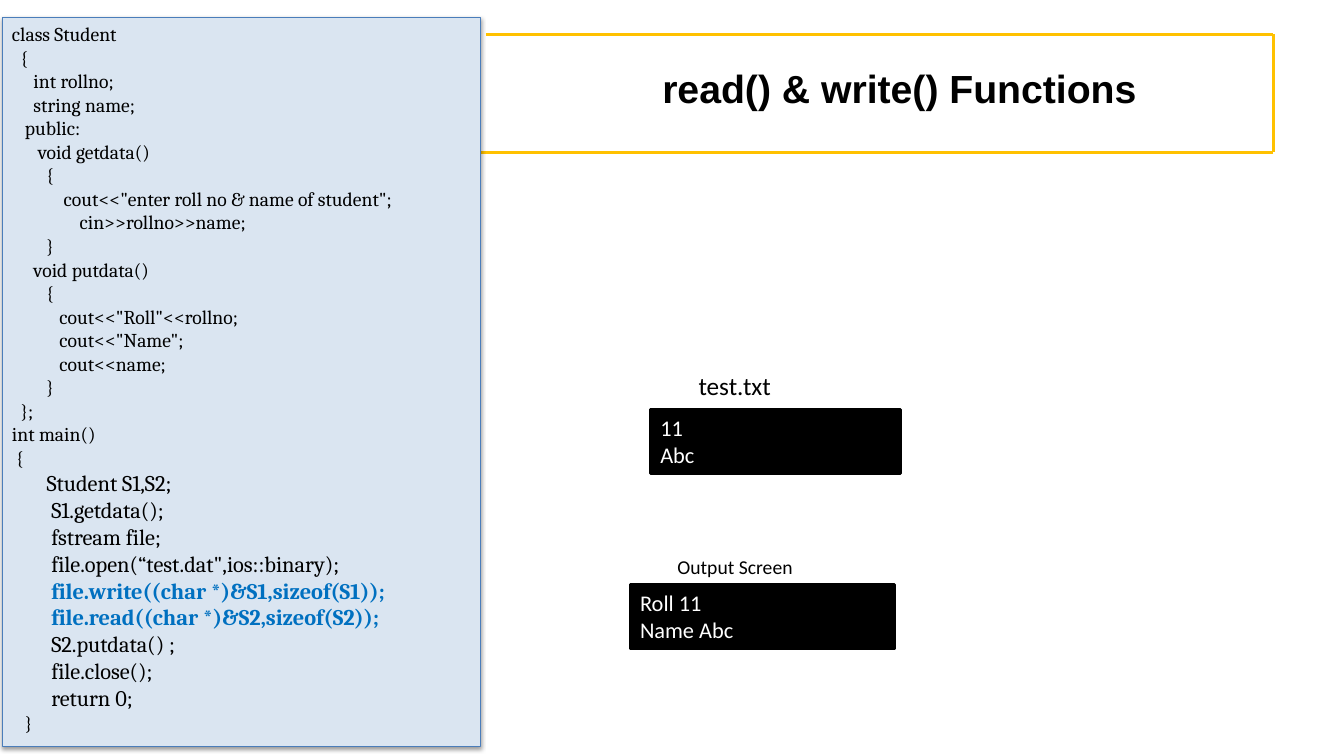
import pptx
import pptx.dml.color
import pptx.enum.shapes
import pptx.enum.text
import pptx.oxml
import pptx.oxml.ns
import pptx.util
from pptx.util import Inches

CLASS_CODE = """class Student
  {
     int rollno;
     string name;
   public:
      void getdata()
        {
            cout<<"enter roll no & name of student";
\t    cin>>rollno>>name;
        }
     void putdata()
        {
           cout<<"Roll"<<rollno;
           cout<<"Name";
           cout<<name;
        }
  };
int main()
 {"""
BODY_CODE = """        S1.getdata();
        fstream file;
        file.open(“test.dat",ios::binary);"""
FILE_CALLS = """        file.write((char *)&S1,sizeof(S1));
        file.read((char *)&S2,sizeof(S2));"""
END_CODE = """        S2.putdata() ;
        file.close();
        return 0;"""


def rgb(value):
    return pptx.dml.color.RGBColor.from_string(value)


def add_effects(shape_properties, content=""):
    shape_properties.append(pptx.oxml.parse_xml(
        f'<a:effectLst {pptx.oxml.ns.nsdecls("a")}>{content}</a:effectLst>'))


def set_font(font, name, size, color="000000", bold=False):
    font.name = name
    font.size = pptx.util.Pt(size)
    font.bold = bold
    font.color.rgb = rgb(color)


def add_lines(frame, text, name, size, color="000000", bold=False):
    for line in text.split("\n"):
        first = frame.paragraphs[0]
        para = frame.add_paragraph() if first.runs else first
        para.text = line
        para.alignment = pptx.enum.text.PP_ALIGN.LEFT
        set_font(para.font, name, size, color, bold)


def add_panel(page, left, top, width, height, fill, line, line_width):
    panel = page.shapes.add_shape(
        pptx.enum.shapes.MSO_SHAPE.RECTANGLE,
        Inches(left), Inches(top), Inches(width), Inches(height))
    panel.shadow.inherit = False
    panel.fill.solid()
    panel.fill.fore_color.rgb = rgb(fill)
    panel.line.color.rgb = rgb(line)
    panel.line.width = pptx.util.Pt(line_width)
    panel.text_frame.vertical_anchor = pptx.enum.text.MSO_ANCHOR.TOP
    panel.text_frame.word_wrap = True
    return panel


def add_title(page, text):
    title = page.shapes.title
    title.left, title.top = Inches(5.94), Inches(0.25)
    title.width, title.height = Inches(5.96), Inches(1.25)
    frame = title.text_frame
    frame.text = text
    frame.auto_size = pptx.enum.text.MSO_AUTO_SIZE.NONE
    frame.vertical_anchor = pptx.enum.text.MSO_ANCHOR.MIDDLE
    frame.paragraphs[0].alignment = pptx.enum.text.PP_ALIGN.CENTER
    set_font(frame.paragraphs[0].font, "Arial", 28, bold=True)


def add_title_frame(page, corners):
    for start, end in zip(corners, corners[1:]):
        rule = page.shapes.add_connector(
            pptx.enum.shapes.MSO_CONNECTOR.STRAIGHT,
            *map(Inches, start + end))
        rule.line.color.rgb = rgb("FFC100")
        rule.line.width = pptx.util.Pt(2)
        add_effects(rule._element.spPr)


def add_code(page):
    panel = add_panel(page, 0.02, 0.17, 4.75, 7.24, "DAE5F1", "4A7DBA", 0.75)
    panel.shadow.inherit = True
    add_effects(
        panel._element.spPr,
        '<a:outerShdw blurRad="40000" dist="20000" dir="5400000" rotWithShape="0">'
        '<a:srgbClr val="000000"><a:alpha val="38000"/></a:srgbClr></a:outerShdw>')
    frame = panel.text_frame
    add_lines(frame, CLASS_CODE, "Cambria", 14)
    declaration = frame.add_paragraph()
    declaration.alignment = pptx.enum.text.PP_ALIGN.LEFT
    for text, size in (("        ", 14), ("Student S1,S2;", 16)):
        span = declaration.add_run()
        span.text = text
        set_font(span.font, "Cambria", size)
    add_lines(frame, BODY_CODE, "Cambria", 16)
    add_lines(frame, FILE_CALLS, "Cambria", 16, "0070C0", True)
    add_lines(frame, END_CODE, "Cambria", 16)
    add_lines(frame, "   }", "Cambria", 14)


def add_screen(page, left, top, width, text):
    screen = add_panel(page, left, top, width, 0.64, "000000", "000000", 2)
    add_lines(screen.text_frame, text, "Calibri", 16, "FFFFFF")


def add_label(page, left, top, width, height, text, size):
    box = page.shapes.add_textbox(
        Inches(left), Inches(top), Inches(width), Inches(height))
    box.text_frame.word_wrap = True
    add_lines(box.text_frame, text, "Calibri", size)


def main():
    deck = pptx.Presentation()
    deck.slide_width, deck.slide_height = Inches(13.33), Inches(7.5)
    page = deck.slides.add_slide(deck.slide_layouts[5])
    add_title_frame(page, [(4.82, 0.34), (12.63, 0.34), (12.63, 1.51), (1.4, 1.51)])
    add_title(page, "read() & write() Functions")
    add_code(page)
    add_screen(page, 6.45, 4.06, 2.48, "11\nAbc")
    add_screen(page, 6.25, 5.8, 2.62, "Roll 11\nName Abc")
    add_label(page, 6.83, 3.62, 1.17, 0.4, "test.txt", 18)
    add_label(page, 6.62, 5.46, 1.5, 0.34, "Output Screen", 14)
    deck.save("out.pptx")


if __name__ == "__main__":
    main()
